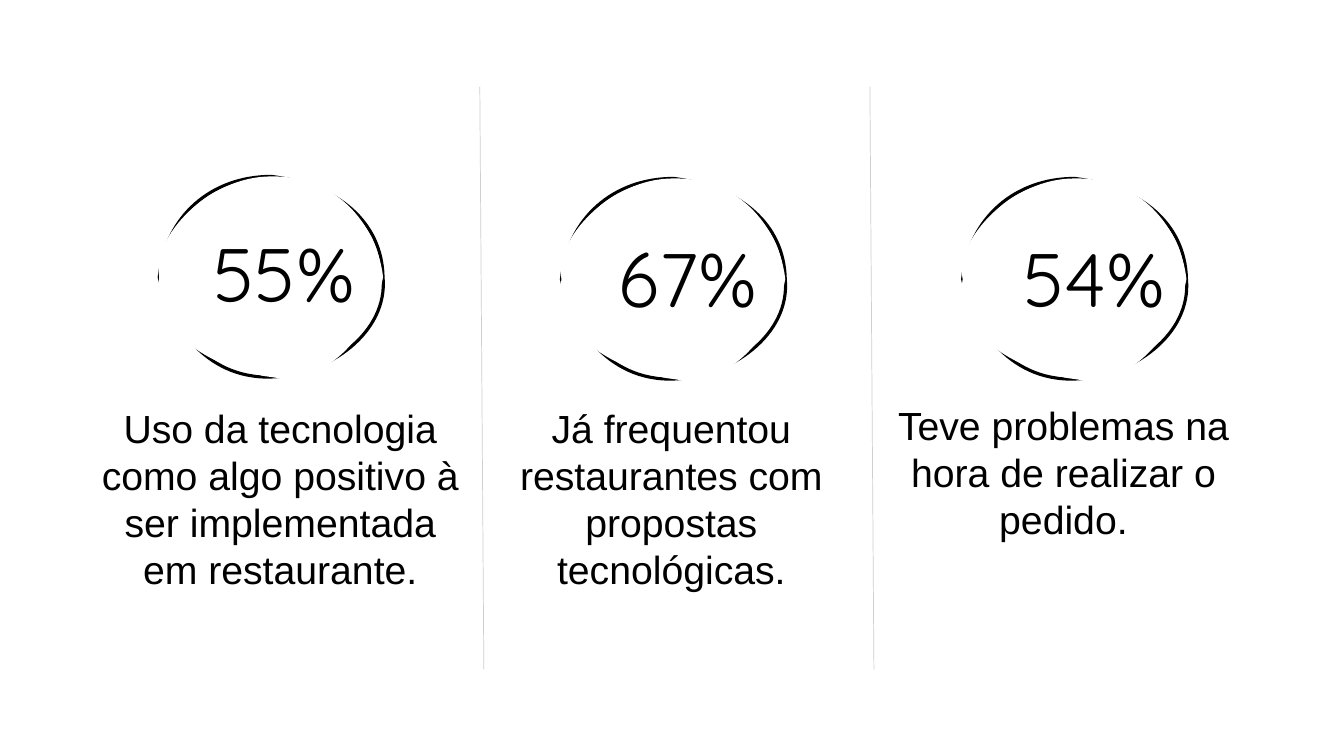
from pptx import Presentation
from pptx import util as u
from pptx.dml.color import RGBColor
from pptx.enum import shapes, text
from pptx.oxml.ns import qn
from lxml import etree


def paint(target, color):
    target.solid()
    target.fore_color.rgb = RGBColor.from_string(color)


def add_label(slide, content, box, font_name, size):
    shape = slide.shapes.add_textbox(*[u.Inches(length) for length in box])
    frame = shape.text_frame
    frame.word_wrap = True
    frame.auto_size = text.MSO_AUTO_SIZE.SHAPE_TO_FIT_TEXT
    frame.text = content
    paragraph = frame.paragraphs[0]
    paragraph.alignment = text.PP_ALIGN.CENTER
    font = paragraph.runs[0].font
    font.name, font.size = font_name, u.Pt(size)
    paint(font.fill, "000000")


presentation = Presentation()
presentation.slide_width = u.Inches(13.333)
presentation.slide_height = u.Inches(7.5)
slide = presentation.slides.add_slide(presentation.slide_layouts[6])
paint(slide.background.fill, "FFFFFF")

circle_width, circle_height = 222, 199
corners = [(0, 100), (111, 0), (222, 100), (111, 199)]
stroke_curves = [
    [(6, 39), (52, 0), (111, 0)],
    [(177, 8), (221, 45), (222, 100)],
    [(227, 155), (168, 197), (111, 199)],
    [(44, 201), (9, 143), (0, 100)],
]
mask_curves = [
    [(-8, 60), (49, 0), (111, 0)],
    [(181, -1), (217, 54), (222, 100)],
    [(211, 158), (164, 209), (111, 199)],
    [(60, 193), (-10, 157), (0, 100)],
]
outlines = [(stroke_curves, {"fill": "none"}), (mask_curves, {"stroke": "0"})]

columns = [
    ("55%", "Uso da tecnologia como algo positivo à ser implementada em restaurante.",
     (0.83, 3.96, 3.9, 1.99), (1.58, 1.75), (1.925, 2.2)),
    ("67%", "Já frequentou restaurantes com propostas tecnológicas.",
     (4.71, 3.96, 3.9, 1.99), (5.57, 1.77), (5.93, 2.25)),
    ("54%", "Teve problemas na hora de realizar o pedido.",
     (8.6, 3.93, 3.9, 1.51), (9.55, 1.77), (9.96, 2.25)),
]

for number, caption, caption_box, (circle_left, circle_top), number_corner in columns:
    add_label(slide, caption, caption_box, "Arial", 28)

    builder = slide.shapes.build_freeform(*corners[0], scale=u.Inches(0.01))
    builder.add_line_segments(corners[1:], close=True)
    circle = builder.convert_to_shape(u.Inches(circle_left), u.Inches(circle_top))
    circle.shadow.inherit = False
    paint(circle.fill, "FFFFFF")
    paint(circle.line.fill, "000000")
    circle.line.width = u.Pt(2.25)

    path_list = circle._element.spPr.find(".//" + qn("a:pathLst"))
    path_list.remove(path_list[0])
    for curves, options in outlines:
        outline = etree.SubElement(path_list, qn("a:path"), w=str(circle_width), h=str(circle_height), **options)
        segments = [("a:moveTo", corners[:1])] + [("a:cubicBezTo", curve) for curve in curves]
        for tag, points in segments:
            segment = etree.SubElement(outline, qn(tag))
            for x, y in points:
                etree.SubElement(segment, qn("a:pt"), x=str(x), y=str(y))
        etree.SubElement(outline, qn("a:close"))

    add_label(slide, number, (*number_corner, 1.79, 1.01), "Quicksand", 54)

for divider_left in (4.76, 8.63):
    ends = [u.Inches(length) for length in (divider_left, 0.86, divider_left + 0.04, 6.64)]
    divider = slide.shapes.add_connector(shapes.MSO_CONNECTOR.STRAIGHT, *ends)
    paint(divider.line.fill, "D0CECE")
    divider.line.width = u.Pt(0.5)
    etree.SubElement(divider._element.spPr, qn("a:effectLst"))

presentation.save("out.pptx")
